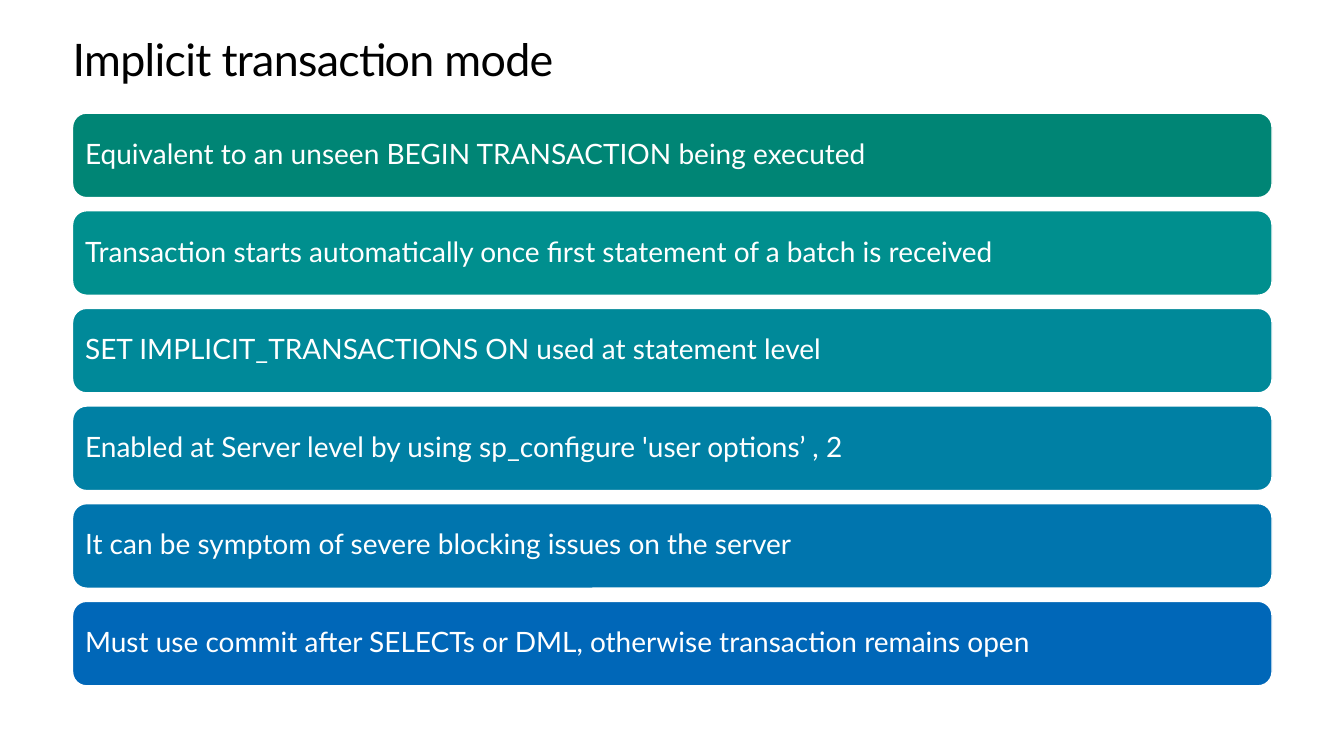
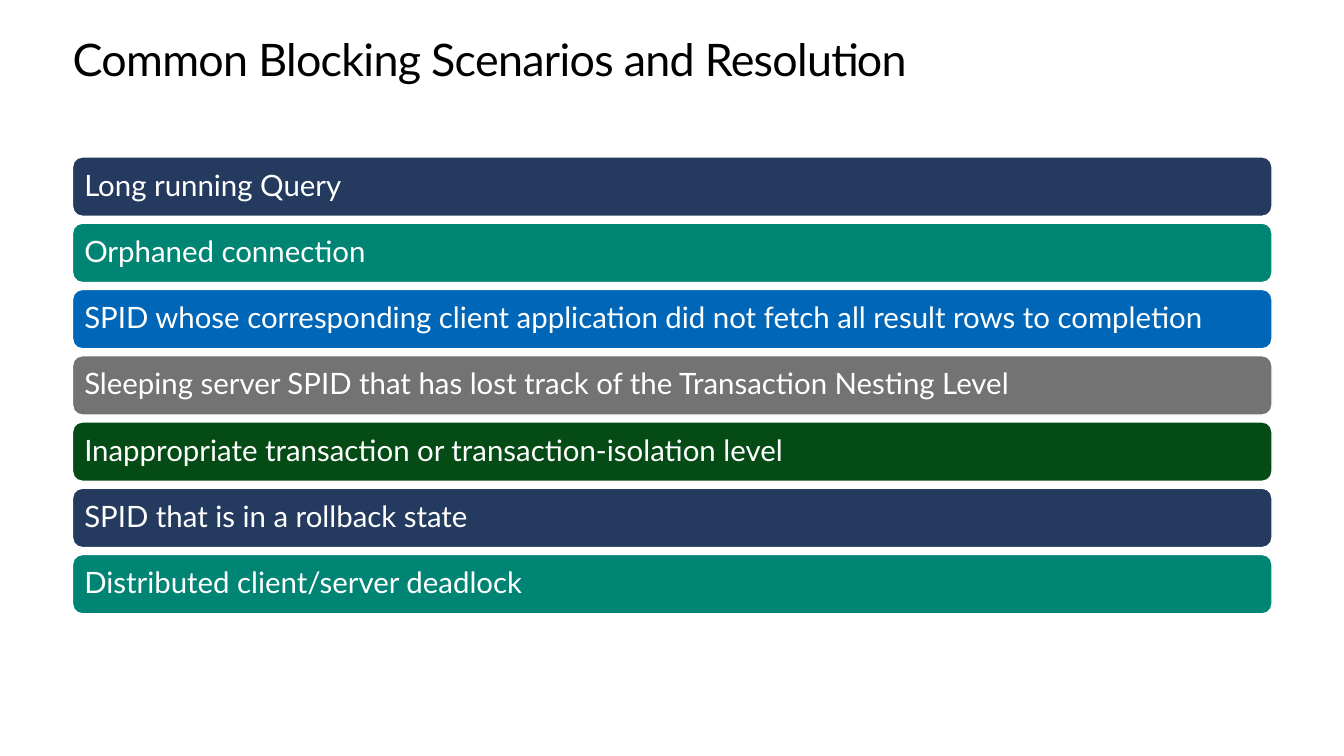
from dataclasses import dataclass

import pptx
import pptx.dml.color
import pptx.enum.shapes
import pptx.enum.text
import pptx.presentation
import pptx.slide
import pptx.util

Pt = pptx.util.Pt

COLORS = {
    "black": "000000",
    "white": "FFFFFF",
    "green": "008575",
    "teal": "008F8E",
    "cyan": "008999",
    "ocean": "0080A4",
    "azure": "0075AE",
    "blue": "0067B8",
    "navy": "243A5E",
    "gray": "737373",
    "forest": "054B16",
}
FONT = "Lato"
LEFT, WIDTH = 51.84, 856.8
TITLE_TOP, TITLE_HEIGHT = 25.2, 36


@dataclass(frozen=True)
class Bar:
    text: str
    color: str


@dataclass(frozen=True)
class BarList:
    title: str
    top: float
    height: float
    pitch: float
    inset: float
    font_size: float
    bars: tuple[Bar, ...]


SLIDES = (
    BarList(
        "Implicit transaction mode",
        top=80.75, height=60.4, pitch=69.75, inset=6, font_size=20,
        bars=(
            Bar("Equivalent to an unseen BEGIN TRANSACTION being executed", "green"),
            Bar("Transaction starts automatically once first statement of a batch is received", "teal"),
            Bar("SET IMPLICIT_TRANSACTIONS ON used at statement level", "cyan"),
            Bar("Enabled at Server level by using sp_configure 'user options’ , 2", "ocean"),
            Bar("It can be symptom of severe blocking issues on the server", "azure"),
            Bar("Must use commit after SELECTs or DML, otherwise transaction remains open", "blue"),
        ),
    ),
    BarList(
        "Common Blocking Scenarios and Resolution",
        top=112.1, height=42.4, pitch=47.33, inset=6.3, font_size=21,
        bars=(
            Bar("Long running Query", "navy"),
            Bar("Orphaned connection", "green"),
            Bar("SPID whose corresponding client application did not fetch all result rows to completion", "blue"),
            Bar("Sleeping server SPID that has lost track of the Transaction Nesting Level", "gray"),
            Bar("Inappropriate transaction or transaction-isolation level", "forest"),
            Bar("SPID that is in a rollback state", "navy"),
            Bar("Distributed client/server deadlock", "green"),
        ),
    ),
)


def rgb(name: str) -> pptx.dml.color.RGBColor:
    return pptx.dml.color.RGBColor.from_string(COLORS[name])


def write_text(shape, text: str, size: float, color: str, inset: float,
               line_spacing: float | pptx.util.Length, anchor):
    """Fill a shape with one left-aligned paragraph and return it."""
    frame = shape.text_frame
    frame.word_wrap = True
    frame.vertical_anchor = anchor
    frame.margin_left = frame.margin_right = Pt(inset)
    frame.margin_top = frame.margin_bottom = Pt(inset)
    paragraph = frame.paragraphs[0]
    paragraph.text = text
    paragraph.alignment = pptx.enum.text.PP_ALIGN.LEFT
    paragraph.line_spacing = line_spacing
    paragraph.font.name = FONT
    paragraph.font.size = Pt(size)
    paragraph.font.color.rgb = rgb(color)
    return paragraph


def set_title(slide: pptx.slide.Slide, text: str) -> None:
    title = slide.shapes.title
    title.left, title.top = Pt(LEFT), Pt(TITLE_TOP)
    title.width, title.height = Pt(WIDTH), Pt(TITLE_HEIGHT)
    paragraph = write_text(title, text, 32, "black", 0, Pt(36.2),
                           pptx.enum.text.MSO_ANCHOR.TOP)
    title.text_frame.auto_size = pptx.enum.text.MSO_AUTO_SIZE.SHAPE_TO_FIT_TEXT
    # Tighten the letter spacing by half a point
    paragraph.runs[0]._r.get_or_add_rPr().set("spc", "-50")


def add_bar(slide: pptx.slide.Slide, bar: Bar, top: float, layout: BarList) -> None:
    shape = slide.shapes.add_shape(
        pptx.enum.shapes.MSO_SHAPE.ROUNDED_RECTANGLE,
        Pt(LEFT), Pt(top), Pt(WIDTH), Pt(layout.height))
    shape.shadow.inherit = False
    shape.fill.solid()
    shape.fill.fore_color.rgb = rgb(bar.color)
    shape.line.color.rgb = rgb("white")
    shape.line.width = Pt(1)
    write_text(shape, bar.text, layout.font_size, "white", layout.inset, 0.9,
               pptx.enum.text.MSO_ANCHOR.MIDDLE)


def add_bar_slide(presentation: pptx.presentation.Presentation, content: BarList) -> None:
    slide = presentation.slides.add_slide(presentation.slide_layouts[5])
    set_title(slide, content.title)
    for index, bar in enumerate(content.bars):
        add_bar(slide, bar, content.top + index * content.pitch, content)


def main() -> None:
    presentation = pptx.Presentation()
    presentation.slide_width, presentation.slide_height = Pt(960), Pt(540)
    for content in SLIDES:
        add_bar_slide(presentation, content)
    presentation.save("out.pptx")


if __name__ == "__main__":
    main()
